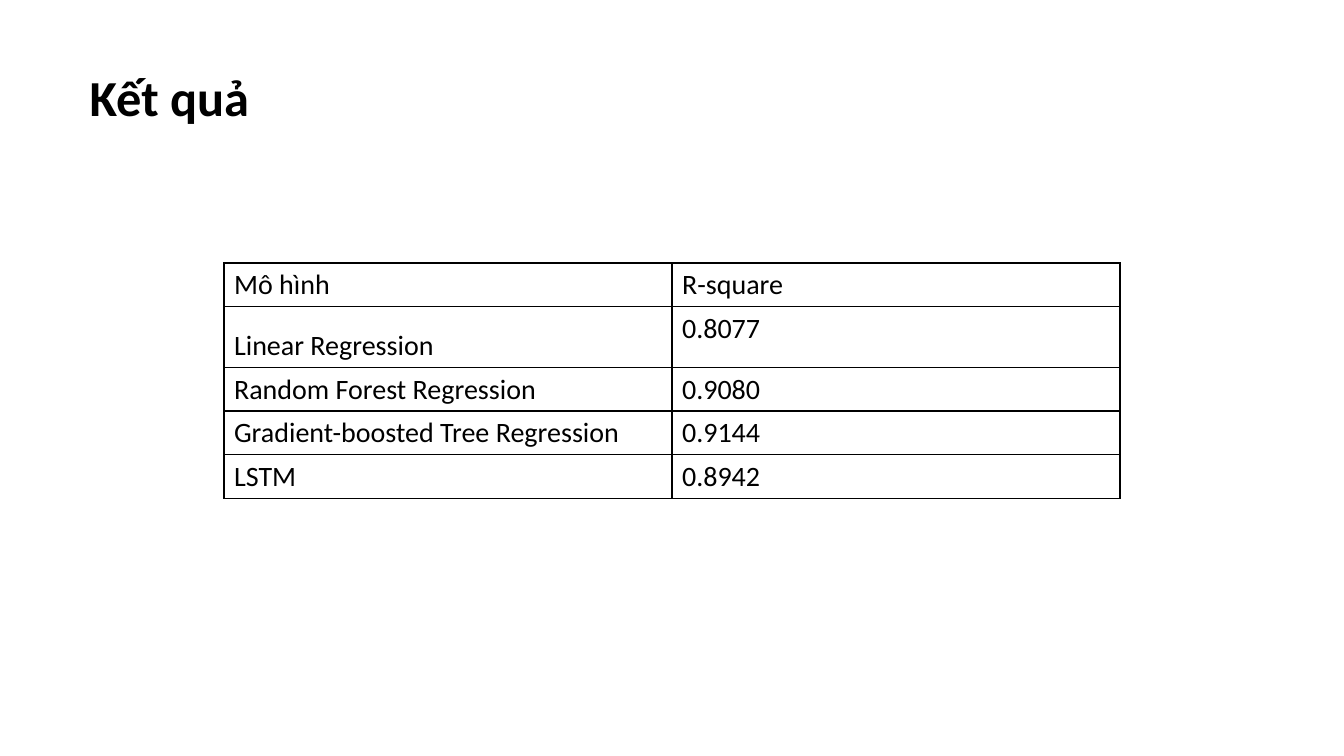
import dataclasses

import lxml.etree
import pptx
import pptx.dml.color
import pptx.enum.text
import pptx.oxml.ns
import pptx.util


@dataclasses.dataclass(frozen=True)
class Theme:
    font: str = "Calibri"
    ink: str = "000000"
    paper: str = "FFFFFF"
    title_size: int = 36
    body_size: int = 20
    rule_width: int = 1


THEME = Theme()
SLIDE_WIDTH = pptx.util.Inches(13.33)
SLIDE_HEIGHT = pptx.util.Inches(7.5)
GRID_COLUMNS = 6
ROW_HEIGHT = pptx.util.Inches(0.41)

RESULTS = [
    ("Mô hình", "R-square"),
    ("Linear Regression", "0.8077"),
    ("Random Forest Regression", "0.9080"),
    ("Gradient-boosted Tree Regression", "0.9144"),
    ("LSTM", "0.8942"),
]
LOOSE_SPACING = {"Linear Regression": 1.5}


def across(columns):
    return round(SLIDE_WIDTH * columns / GRID_COLUMNS)


def down(share):
    return round(SLIDE_HEIGHT * share)


def write(paragraph, text, size, bold=False, spacing=None):
    paragraph.text = text
    paragraph.line_spacing = spacing
    paragraph.font.name = THEME.font
    paragraph.font.size = pptx.util.Pt(size)
    paragraph.font.bold = bold
    paragraph.font.color.rgb = pptx.dml.color.RGBColor.from_string(THEME.ink)


def add_title(slide, text):
    title = slide.shapes.add_textbox(across(0.4), down(0.093), across(2.91), down(0.075))
    frame = title.text_frame
    frame.word_wrap = True
    frame.vertical_anchor = pptx.enum.text.MSO_ANCHOR.BOTTOM
    frame.margin_left = frame.margin_right = frame.margin_top = frame.margin_bottom = 0
    write(frame.paragraphs[0], text, THEME.title_size, bold=True, spacing=0.9)


def rule_cell(cell):
    """Draw a solid line on all four sides of a table cell."""
    properties = cell._tc.get_or_add_tcPr()
    for position, side in enumerate(("lnL", "lnR", "lnT", "lnB")):
        line = lxml.etree.Element(
            pptx.oxml.ns.qn(f"a:{side}"), w=str(pptx.util.Pt(THEME.rule_width))
        )
        fill = lxml.etree.SubElement(line, pptx.oxml.ns.qn("a:solidFill"))
        lxml.etree.SubElement(fill, pptx.oxml.ns.qn("a:srgbClr"), val=THEME.ink)
        properties.insert(position, line)


def add_results_table(slide, results):
    column_count = len(results[0])
    table = slide.shapes.add_table(
        len(results), column_count, across(1), down(0.348),
        across(4), ROW_HEIGHT * len(results),
    ).table
    table.first_row = table.horz_banding = False
    for column in table.columns:
        column.width = across(4 / column_count)
    for row_index, values in enumerate(results):
        table.rows[row_index].height = ROW_HEIGHT
        for column_index, value in enumerate(values):
            cell = table.cell(row_index, column_index)
            cell.fill.solid()
            cell.fill.fore_color.rgb = pptx.dml.color.RGBColor.from_string(THEME.paper)
            rule_cell(cell)
            write(cell.text_frame.paragraphs[0], value, THEME.body_size,
                  spacing=LOOSE_SPACING.get(value))


def main():
    presentation = pptx.Presentation()
    presentation.slide_width = SLIDE_WIDTH
    presentation.slide_height = SLIDE_HEIGHT
    slide = presentation.slides.add_slide(presentation.slide_layouts[6])
    add_title(slide, "Kết quả")
    add_results_table(slide, RESULTS)
    presentation.save("out.pptx")


if __name__ == "__main__":
    main()
